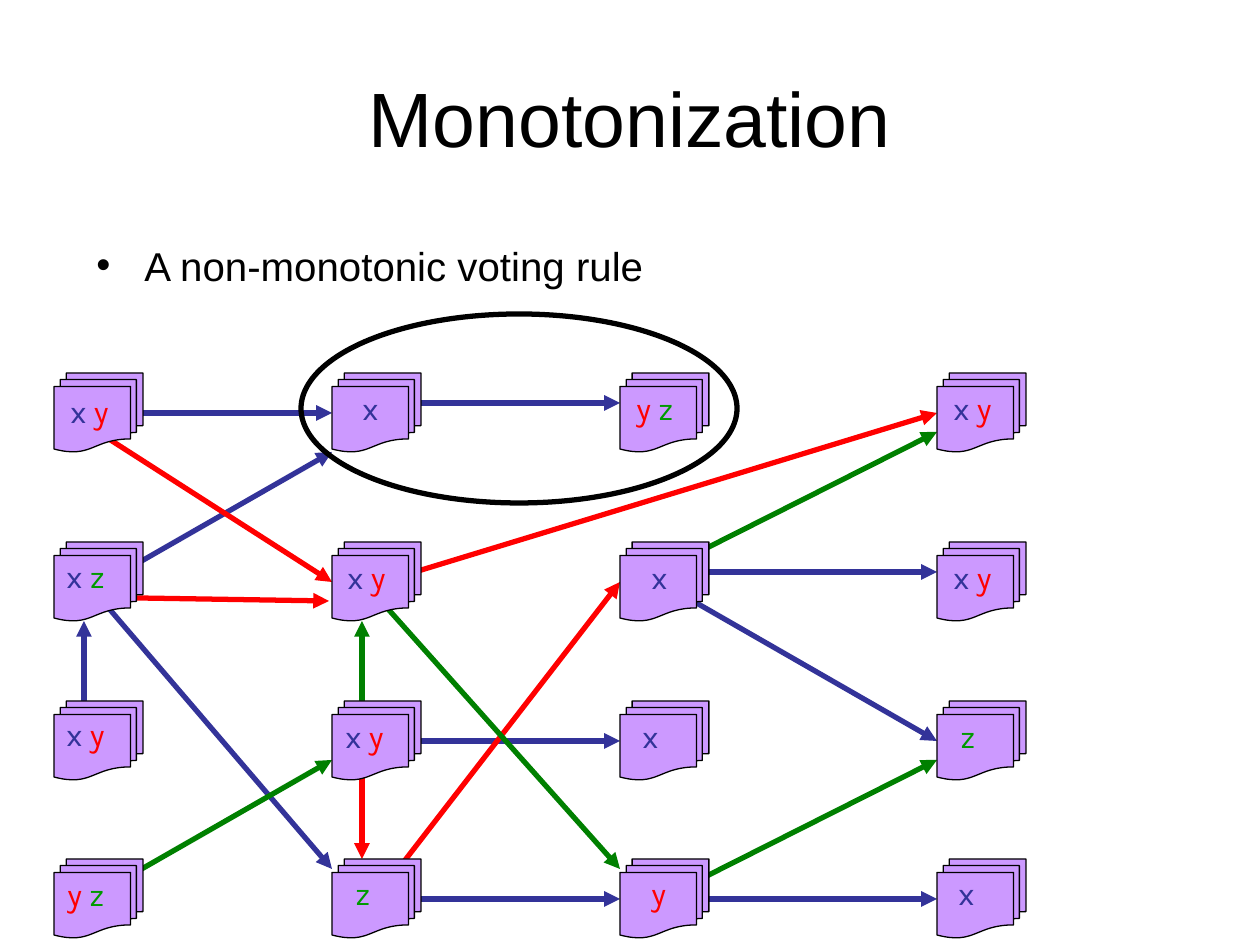
from lxml.etree import SubElement
from pptx import Presentation
from pptx.dml.color import RGBColor
from pptx.enum.shapes import MSO_CONNECTOR as LINK, MSO_SHAPE as SHAPE
from pptx.enum.text import MSO_ANCHOR as ANCHOR, MSO_AUTO_SIZE as FIT, PP_ALIGN as ALIGN
from pptx.oxml.ns import qn
from pptx.util import Emu, Pt

PX = 914400 / 126
COLORS = {"black": "000000", "ballot": "CC99FF", "blue": "333399",
          "red": "FF0000", "green": "008000", "leaf": "009900"}
CANDIDATE_COLORS = {"x": "blue", "y": "red", "z": "leaf"}

# Ballot grid
COLUMNS = [54, 332, 620, 937]
ROWS = [373, 542, 701, 859]
BALLOT_SIZE = (89, 79)

# Approved candidates per ballot: text, left, top, width
LABELS = [
    ("x y", 58, 386, 66), ("x", 350, 383, 42), ("y z", 624, 383, 64), ("x y", 941, 383, 66),
    ("x z", 54, 551, 64), ("x y", 335, 552, 66), ("x", 639, 552, 49), ("x y", 941, 552, 66),
    ("x y", 54, 709, 66), ("x y", 333, 711, 66), ("x", 630, 711, 42), ("z", 948, 711, 39),
    ("y z", 55, 869, 64), ("z", 343, 868, 39), ("y", 639, 868, 42), ("x", 946, 868, 42),
]
LABEL_HEIGHT = 50

# Changes of winner: color, start x, start y, end x, end y
ARROWS = [
    ("blue", 105, 413, 332, 413), ("blue", 105, 582, 332, 452),
    ("blue", 84, 740, 84, 621), ("blue", 94, 591, 332, 869),
    ("blue", 382, 403, 620, 403), ("blue", 392, 741, 620, 741),
    ("blue", 382, 899, 620, 899), ("blue", 669, 572, 937, 572),
    ("blue", 659, 899, 937, 899), ("red", 84, 423, 332, 582),
    ("red", 74, 597, 329, 601), ("red", 362, 750, 362, 859),
    ("red", 382, 890, 620, 582), ("blue", 660, 582, 937, 741),
    ("red", 382, 582, 937, 413), ("green", 105, 890, 332, 760),
    ("green", 679, 562, 937, 432), ("green", 679, 890, 937, 760),
    ("green", 372, 591, 620, 869), ("green", 362, 731, 362, 621),
]


def px(*lengths):
    return [Emu(round(length * PX)) for length in lengths]


def rgb(name):
    return RGBColor.from_string(COLORS[name])


def style_font(run, face, size, color):
    run.font.name, run.font.size = face, Pt(size)
    run.font.color.rgb = rgb(color)


def set_title(slide, wording):
    title = slide.shapes.title
    title.left, title.top, title.width, title.height = px(63, 38, 1134, 157)
    title.text_frame.text = wording
    title.text_frame.vertical_anchor = ANCHOR.MIDDLE
    heading = title.text_frame.paragraphs[0]
    heading.alignment = ALIGN.CENTER
    style_font(heading.runs[0], "Arial", 44, "black")


def add_bullet(slide, wording):
    frame = slide.shapes.add_textbox(*px(84, 244, 1098, 56)).text_frame
    frame.word_wrap = True
    frame.text = wording
    point = frame.paragraphs[0]
    point.line_spacing = 0.8
    properties = point._p.get_or_add_pPr()
    indent = px(48)[0]
    properties.set("marL", str(indent))
    properties.set("indent", str(-indent))
    bullet_color = SubElement(properties, qn("a:buClr"))
    SubElement(bullet_color, qn("a:srgbClr"), val=COLORS["black"])
    SubElement(properties, qn("a:buFont"), typeface="Arial")
    SubElement(properties, qn("a:buChar"), char="•")
    style_font(point.runs[0], "Arial", 23, "black")


def add_arrow(slide, color, *ends):
    arrow = slide.shapes.add_connector(LINK.STRAIGHT, *px(*ends))
    arrow.line.color.rgb = rgb(color)
    arrow.line.width = Pt(3)
    outline = arrow.element.spPr.find(qn("a:ln"))
    SubElement(outline, qn("a:tailEnd"), type="triangle")
    SubElement(arrow.element.spPr, qn("a:effectLst"))


def add_outlined(slide, preset, bounds, weight, fill=None):
    shape = slide.shapes.add_shape(preset, *px(*bounds))
    shape.shadow.inherit = False
    if fill:
        shape.fill.solid()
        shape.fill.fore_color.rgb = rgb(fill)
    else:
        shape.fill.background()
    shape.line.color.rgb = rgb("black")
    shape.line.width = Pt(weight)


def add_label(slide, candidates, left, top, width):
    frame = slide.shapes.add_textbox(*px(left, top, width, LABEL_HEIGHT)).text_frame
    frame.word_wrap = False
    frame.auto_size = FIT.SHAPE_TO_FIT_TEXT
    names = candidates.split()
    for name in names:
        run = frame.paragraphs[0].add_run()
        run.text = name if name == names[-1] else name + " "
        style_font(run, "Karla", 18, CANDIDATE_COLORS[name])


def main():
    deck = Presentation()
    deck.slide_width, deck.slide_height = px(1260, 945)
    slide = deck.slides.add_slide(deck.slide_layouts[5])
    set_title(slide, "Monotonization")

    # Arrows lie behind the ballots
    for arrow in ARROWS:
        add_arrow(slide, *arrow)
    for left in COLUMNS:
        for top in ROWS:
            add_outlined(slide, SHAPE.FLOWCHART_MULTIDOCUMENT,
                         (left, top, *BALLOT_SIZE), 0.75, "ballot")
    for label in LABELS:
        add_label(slide, *label)

    add_bullet(slide, "A non-monotonic voting rule")

    # Ring around the non-monotonic step
    add_outlined(slide, SHAPE.OVAL, (301, 314, 436, 189), 3)
    deck.save("out.pptx")


if __name__ == "__main__":
    main()
